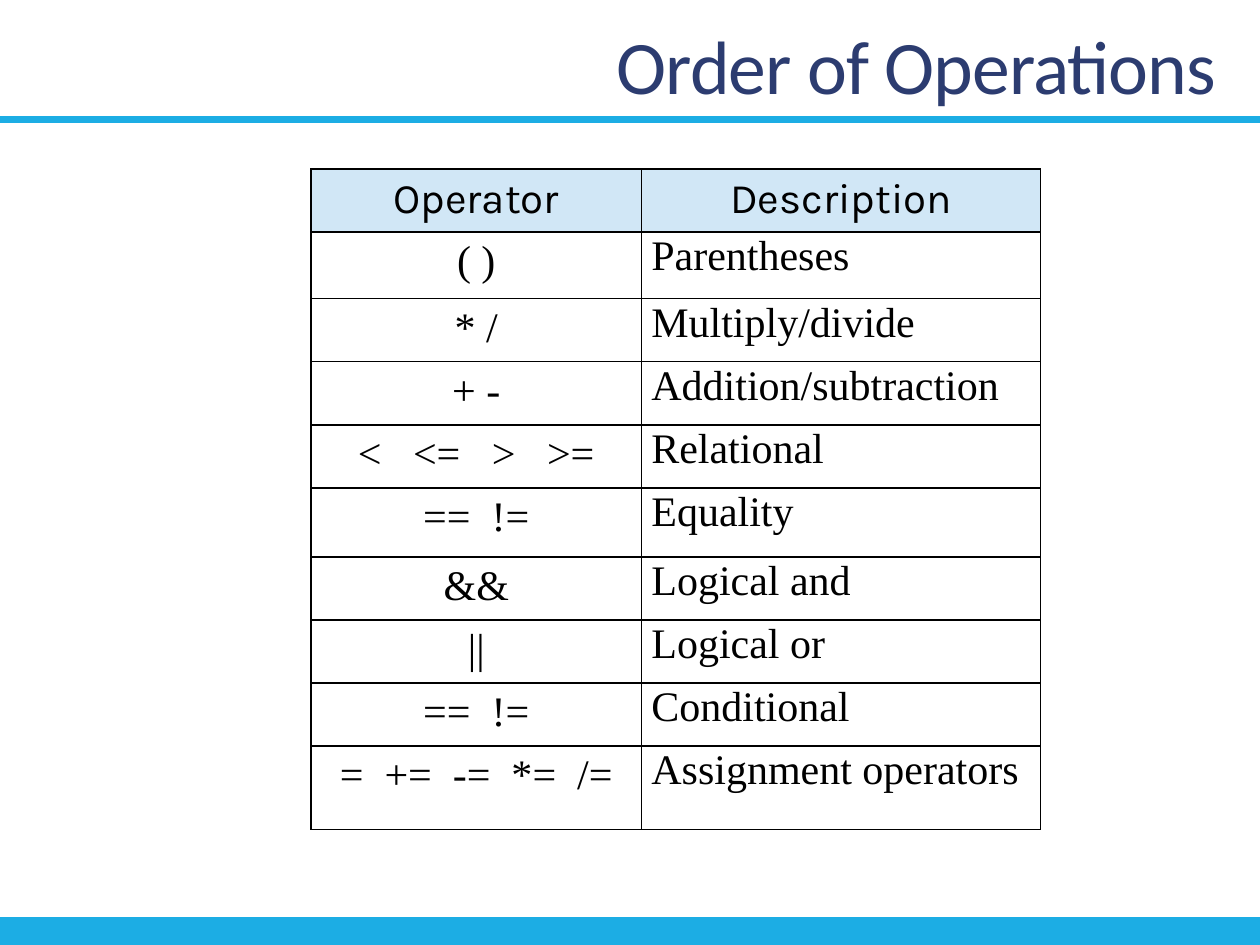
from typing import NamedTuple

from lxml.etree import SubElement as Sub
from pptx import Presentation
from pptx.dml.color import RGBColor
from pptx.enum.shapes import MSO_CONNECTOR as Link
from pptx.enum.text import MSO_ANCHOR as Anchor, PP_ALIGN as Align
from pptx.oxml.ns import qn
from pptx.util import Inches, Pt

WIDE, HIGH = Inches(10), Inches(7.5)
INK, NAVY, SKY, PALE, WHITE = "000000", "2C3C70", "1CADE4", "D1E7F6", "FFFFFF"
SERIF = "Times New Roman"


class Row(NamedTuple):
    sign: str
    role: str
    tall: float


class Bar(NamedTuple):
    top: float
    size: float


COLS = [26.2, 31.7]
ROWS = [
    Row("Operator", "Description", 6.67),
    Row("( )", "Parentheses", 7.07),
    Row("* /", "Multiply/divide", 6.27),
    Row("+ -", "Addition/subtraction", 6.27),
    Row("<   <=   >   >=", "Relational", 6.27),
    Row("==  !=", "Equality", 7.33),
    Row("&&", "Logical and", 6.67),
    Row("||", "Logical or", 6.67),
    Row("==  !=", "Conditional", 6.67),
    Row("=  +=  -=  *=  /=", "Assignment operators", 8.8),
]
BARS = [Bar(12.67, 4), Bar(98.93, 20)]


def across(share: float) -> int:
    return round(WIDE * share / 100)


def down(share: float) -> int:
    return round(HIGH * share / 100)


def tint(code: str) -> RGBColor:
    return RGBColor.from_string(code)


def write(frame, text: str, *, font=SERIF, size=24, ink=INK,
          align=Align.LEFT, lead=None, gap=0) -> None:
    frame.word_wrap = True
    para = frame.paragraphs[0]
    para.alignment = align
    if lead:
        para.line_spacing = lead
    run = para.add_run()
    run.text = text
    run.font.name, run.font.size = font, Pt(size)
    run.font.color.rgb = tint(ink)
    if gap:
        run.font._element.set("spc", str(gap))


def edge(cell) -> None:
    props = cell._tc.get_or_add_tcPr()
    for spot, side in enumerate(("lnL", "lnR", "lnT", "lnB")):
        line = props.makeelement(qn(f"a:{side}"), {"w": str(Pt(1))})
        fill = Sub(line, qn("a:solidFill"))
        Sub(fill, qn("a:srgbClr"), val=INK)
        props.insert(spot, line)


def pad(cell, left: float, right: float, ends: float) -> None:
    cell.margin_left, cell.margin_right = Inches(left), Inches(right)
    cell.margin_top = cell.margin_bottom = Inches(ends)


def draw_title(slide) -> None:
    box = slide.shapes.add_textbox(across(27.5), down(2.27), across(70), down(10))
    box.text_frame.vertical_anchor = Anchor.BOTTOM
    write(box.text_frame, "Order of Operations", font="Calibri", size=43.2,
          ink=NAVY, align=Align.RIGHT, lead=0.85, gap=-50)


def draw_table(slide, rows: list[Row]) -> None:
    table = slide.shapes.add_table(
        len(rows), len(COLS), across(24.7), down(17.87),
        across(sum(COLS)), down(sum(row.tall for row in rows))).table
    table.first_row = table.horz_banding = False
    for col, width in zip(table.columns, COLS):
        col.width = across(width)
    for r, row in enumerate(rows):
        table.rows[r].height = down(row.tall)
        for c, text in enumerate((row.sign, row.role)):
            cell = table.cell(r, c)
            cell.fill.solid()
            cell.fill.fore_color.rgb = tint(WHITE if r else PALE)
            edge(cell)
            if r and c:
                pad(cell, 0.08, 0, 0.03)
                write(cell.text_frame, text, lead=Pt(25))
            else:
                pad(cell, 0.1, 0.1, 0.05)
                write(cell.text_frame, text, font=SERIF if r else "Karla",
                      align=Align.CENTER)


def draw_bar(slide, bar: Bar) -> None:
    line = slide.shapes.add_connector(
        Link.STRAIGHT, 0, down(bar.top), WIDE, down(bar.top))
    line.line.color.rgb = tint(SKY)
    line.line.width = Pt(bar.size)
    Sub(line._element.spPr, qn("a:effectLst"))


def main() -> None:
    deck = Presentation()
    deck.slide_width, deck.slide_height = WIDE, HIGH
    slide = deck.slides.add_slide(deck.slide_layouts[6])
    draw_title(slide)
    draw_table(slide, ROWS)
    for bar in BARS:
        draw_bar(slide, bar)
    deck.save("out.pptx")


if __name__ == "__main__":
    main()
